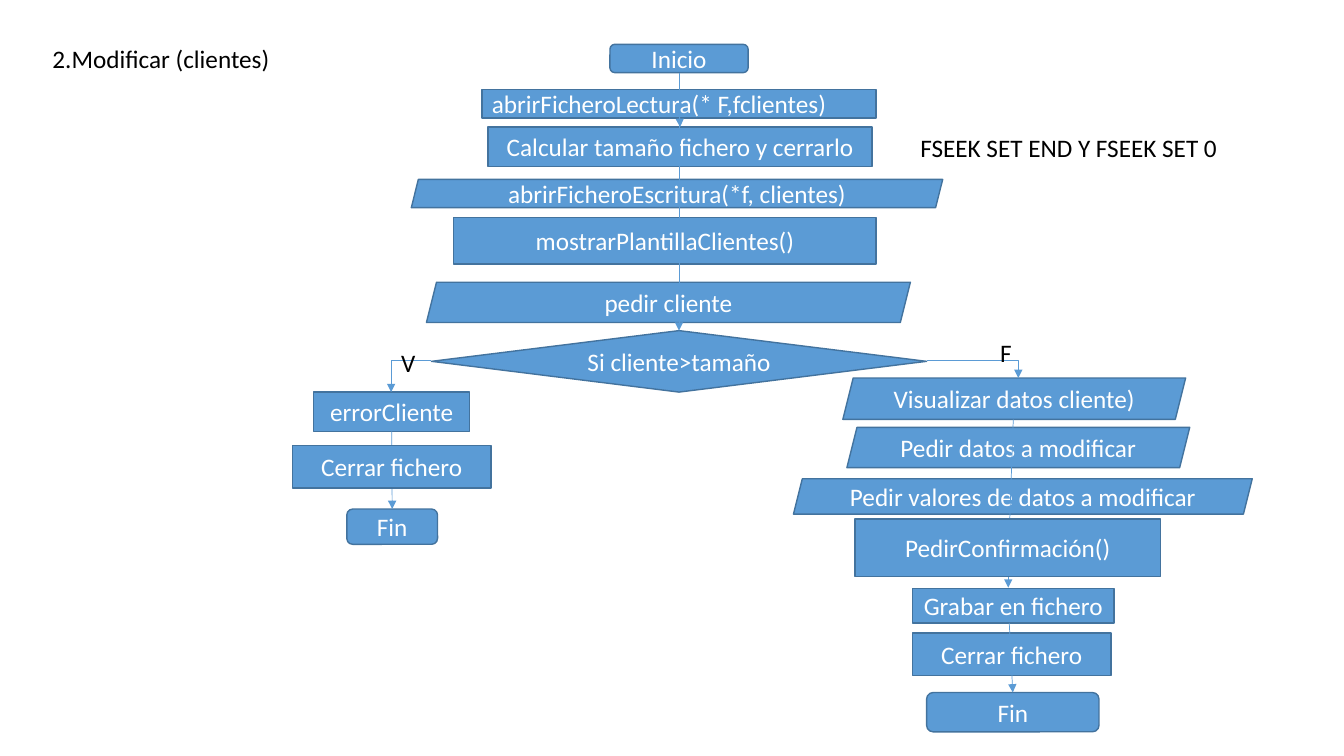
from dataclasses import dataclass
from typing import Optional

import pptx
import pptx.dml.color
import pptx.enum.shapes
import pptx.enum.text
import pptx.oxml
import pptx.oxml.ns
import pptx.util
from lxml import etree

SHAPE = pptx.enum.shapes.MSO_SHAPE
CONNECTOR = pptx.enum.shapes.MSO_CONNECTOR
ALIGN = pptx.enum.text.PP_ALIGN
ANCHOR = pptx.enum.text.MSO_ANCHOR
AUTO_SIZE = pptx.enum.text.MSO_AUTO_SIZE

EMU_PER_PX = 9144  # 100 px to the inch
TOP, BOTTOM = 0, 2


@dataclass(frozen=True)
class Theme:
    font: str = "Calibri"
    text_size: int = 18
    fill: str = "5B9BD5"
    border: str = "43739E"
    ink: str = "000000"
    node_text: str = "FFFFFF"
    border_width: float = 1
    flow_width: float = 0.5


THEME = Theme()


@dataclass(frozen=True)
class Node:
    key: str
    text: str
    kind: SHAPE
    left: int
    top: int
    width: int
    height: int
    align: ALIGN = ALIGN.CENTER


@dataclass(frozen=True)
class Label:
    text: str
    left: int
    top: int
    width: int
    height: int = 40


@dataclass(frozen=True)
class Joint:
    key: str
    site: int


@dataclass(frozen=True)
class Flow:
    start: tuple[int, int]
    end: tuple[int, int]
    bent: bool = False
    begin_joint: Optional[Joint] = None
    end_joint: Optional[Joint] = None


TITLE = Label("2.Modificar (clientes)", 42, 38, 238)
LABELS = [
    Label("V", 388, 340, 35),
    Label("F", 982, 330, 32),
    Label("FSEEK SET END Y FSEEK SET 0", 903, 126, 317),
]

NODES = [
    Node("start", "Inicio", SHAPE.ROUNDED_RECTANGLE, 605, 44, 137, 28),
    Node("open_read", "abrirFicheroLectura(* F,fclientes)", SHAPE.RECTANGLE,
         478, 89, 391, 28, ALIGN.LEFT),
    Node("size", "Calcular tamaño fichero y cerrarlo", SHAPE.RECTANGLE, 484, 126, 381, 39),
    Node("open_write", "abrirFicheroEscritura(*f, clientes)", SHAPE.PARALLELOGRAM,
         408, 178, 527, 28),
    Node("template", "mostrarPlantillaClientes()", SHAPE.RECTANGLE, 450, 216, 419, 46),
    Node("ask_client", "pedir cliente", SHAPE.PARALLELOGRAM, 423, 280, 480, 40),
    Node("decision", "Si cliente>tamaño", SHAPE.DIAMOND, 428, 328, 491, 61),
    Node("error", "errorCliente", SHAPE.RECTANGLE, 311, 389, 155, 39),
    Node("end_error", "Fin", SHAPE.ROUNDED_RECTANGLE, 344, 505, 90, 35),
    Node("view", "Visualizar datos cliente)", SHAPE.PARALLELOGRAM, 836, 375, 340, 41),
    Node("ask_fields", "Pedir datos a modificar", SHAPE.PARALLELOGRAM, 840, 424, 340, 40),
    Node("ask_values", "Pedir valores de datos a modificar", SHAPE.PARALLELOGRAM,
         787, 475, 455, 35),
    Node("save", "Grabar en fichero", SHAPE.RECTANGLE, 905, 584, 200, 34),
    Node("close", "Cerrar fichero", SHAPE.RECTANGLE, 905, 628, 197, 42),
    Node("end", "Fin", SHAPE.ROUNDED_RECTANGLE, 919, 687, 171, 39),
]
# These nodes lie over the flow lines that pass behind them.
COVERING_NODES = [
    Node("confirm", "PedirConfirmación()", SHAPE.RECTANGLE, 848, 515, 303, 57),
    Node("close_error", "Cerrar fichero", SHAPE.RECTANGLE, 290, 442, 197, 42),
]

FLOWS = [
    Flow((919, 358), (1010, 375), bent=True),
    Flow((428, 358), (388, 389), bent=True),
    Flow((674, 113), (674, 126), end_joint=Joint("size", TOP)),
    Flow((674, 72), (674, 328), begin_joint=Joint("start", BOTTOM),
         end_joint=Joint("decision", TOP)),
    Flow((1005, 416), (1000, 572), end_joint=Joint("confirm", BOTTOM)),
    Flow((1000, 562), (1000, 583)),
    Flow((1001, 618), (1004, 687), end_joint=Joint("end", TOP)),
    Flow((388, 428), (388, 505), begin_joint=Joint("error", BOTTOM),
         end_joint=Joint("end_error", TOP)),
]


def px(length: int) -> pptx.util.Emu:
    return pptx.util.Emu(length * EMU_PER_PX)


def rgb(color: str) -> pptx.dml.color.RGBColor:
    return pptx.dml.color.RGBColor.from_string(color)


def write(shape, text: str, color: str, align: ALIGN, anchor: ANCHOR) -> None:
    frame = shape.text_frame
    frame.vertical_anchor = anchor
    paragraph = frame.paragraphs[0]
    paragraph.alignment = align
    run = paragraph.add_run()
    run.text = text
    run.font.name = THEME.font
    run.font.size = pptx.util.Pt(THEME.text_size)
    run.font.color.rgb = rgb(color)


def format_label(shape, label: Label) -> None:
    shape.left, shape.top = px(label.left), px(label.top)
    shape.width, shape.height = px(label.width), px(label.height)
    write(shape, label.text, THEME.ink, ALIGN.LEFT, ANCHOR.TOP)
    shape.text_frame.paragraphs[0].line_spacing = 1.0
    shape.text_frame.word_wrap = False
    shape.text_frame.auto_size = AUTO_SIZE.SHAPE_TO_FIT_TEXT


def draw_node(slide, node: Node):
    shape = slide.shapes.add_shape(
        node.kind, px(node.left), px(node.top), px(node.width), px(node.height))
    shape.shadow.inherit = False
    shape.fill.solid()
    shape.fill.fore_color.rgb = rgb(THEME.fill)
    shape.line.color.rgb = rgb(THEME.border)
    shape.line.width = pptx.util.Pt(THEME.border_width)
    write(shape, node.text, THEME.node_text, node.align, ANCHOR.MIDDLE)
    shape.text_frame.word_wrap = True
    return shape


def draw_flow(slide, flow: Flow):
    kind = CONNECTOR.ELBOW if flow.bent else CONNECTOR.STRAIGHT
    connector = slide.shapes.add_connector(
        kind, *map(px, flow.start), *map(px, flow.end))
    connector.line.color.rgb = rgb(THEME.fill)
    connector.line.width = pptx.util.Pt(THEME.flow_width)
    properties = connector._element.spPr
    if flow.bent:
        properties.find(pptx.oxml.ns.qn("a:prstGeom")).set("prst", "bentConnector2")
    line = properties.find(pptx.oxml.ns.qn("a:ln"))
    etree.SubElement(line, pptx.oxml.ns.qn("a:tailEnd"), type="triangle")
    etree.SubElement(properties, pptx.oxml.ns.qn("a:effectLst"))
    return connector


def main() -> None:
    presentation = pptx.Presentation()
    presentation.slide_width, presentation.slide_height = px(1333), px(750)
    slide = presentation.slides.add_slide(presentation.slide_layouts[5])
    format_label(slide.shapes.title, TITLE)

    shapes = {node.key: draw_node(slide, node) for node in NODES}
    connectors = [draw_flow(slide, flow) for flow in FLOWS]
    shapes.update({node.key: draw_node(slide, node) for node in COVERING_NODES})
    for flow, connector in zip(FLOWS, connectors):
        if flow.begin_joint:
            connector.begin_connect(shapes[flow.begin_joint.key], flow.begin_joint.site)
        if flow.end_joint:
            connector.end_connect(shapes[flow.end_joint.key], flow.end_joint.site)

    for label in LABELS:
        box = slide.shapes.add_textbox(0, 0, 0, 0)
        format_label(box, label)

    presentation.save("out.pptx")


if __name__ == "__main__":
    main()
